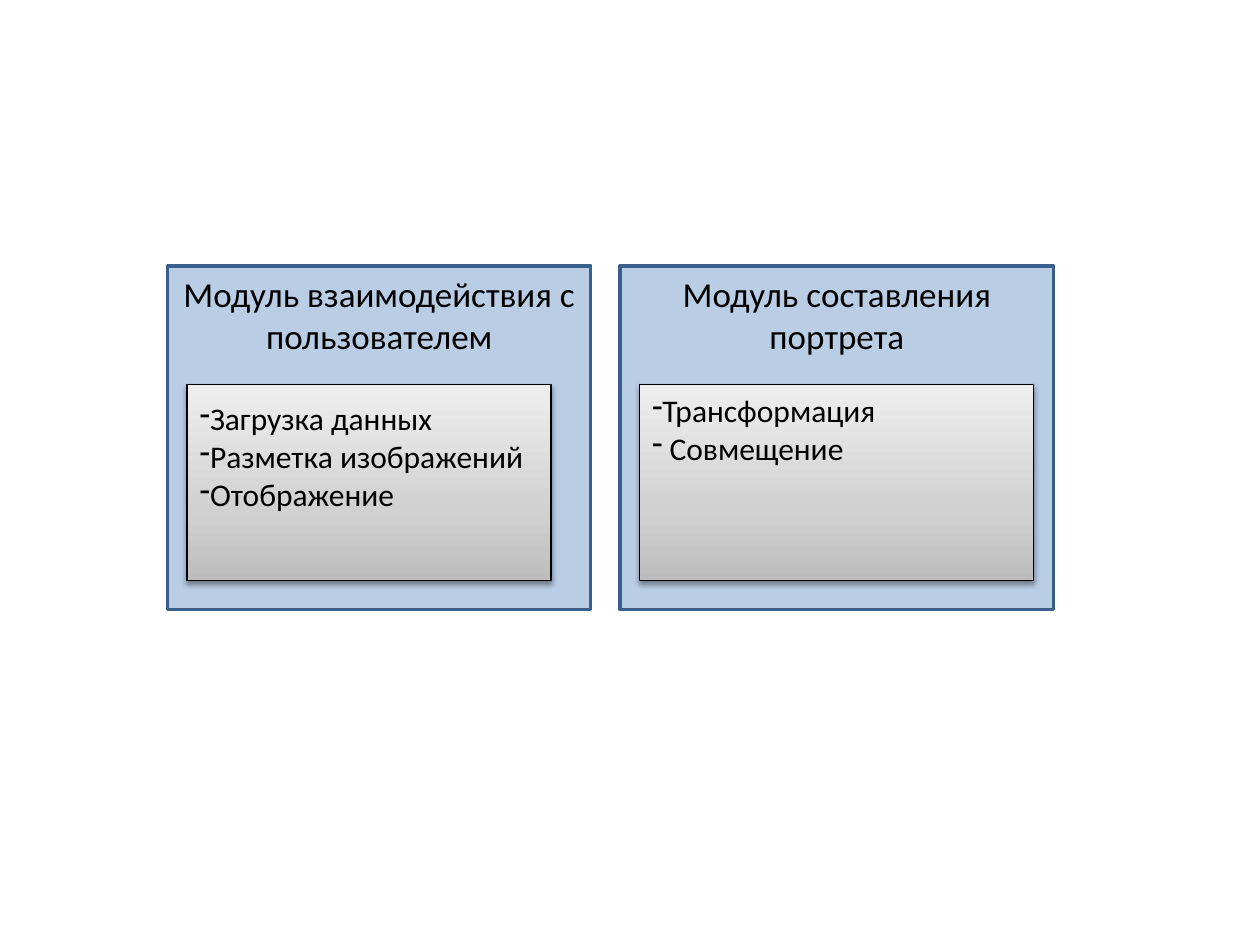
import pptx
import pptx.dml.color
import pptx.enum.shapes
import pptx.enum.text
import pptx.oxml
import pptx.oxml.ns
import pptx.util
from lxml import etree

Cm = pptx.util.Cm
Pt = pptx.util.Pt
qn = pptx.oxml.ns.qn
ALIGN = pptx.enum.text.PP_ALIGN

COLORS = {
    "panel": "B9CDE5",
    "panel_line": "3A5F8C",
    "dark": "BDBDBD",
    "middle": "D1D1D1",
    "light": "EEEEEE",
    "black": "000000",
}


def color(name):
    return pptx.dml.color.RGBColor.from_string(COLORS[name])


def write_text(paragraph, text, size=18, align=ALIGN.LEFT, bullet=None):
    paragraph.alignment = align
    paragraph.space_before = Pt(0)
    run = paragraph.add_run()
    run.text = text
    run.font.name = "Calibri"
    run.font.size = Pt(size)
    run.font.bold = False
    run.font.color.rgb = color("black")
    properties = paragraph._p.get_or_add_pPr()
    properties.set("marL", "0")
    properties.set("indent", "0")
    if bullet:
        etree.SubElement(properties, qn("a:buFontTx"))
        etree.SubElement(properties, qn("a:buChar")).set("char", bullet)
    else:
        etree.SubElement(properties, qn("a:buNone"))


class ModuleSlide:
    def __init__(self, presentation):
        self.slide = presentation.slides.add_slide(presentation.slide_layouts[4])
        # The comparison layout gives two headings and two lists; no slide title
        title = self.slide.shapes.title.element
        title.getparent().remove(title)

    def rectangle(self, left, top, width, height, line, line_width):
        shape = self.slide.shapes.add_shape(
            pptx.enum.shapes.MSO_SHAPE.RECTANGLE,
            Cm(left), Cm(top), Cm(width), Cm(height))
        shape.shadow.inherit = False
        shape.line.color.rgb = color(line)
        shape.line.width = Pt(line_width)
        return shape

    def panel(self, *box):
        shape = self.rectangle(*box, "panel_line", 2)
        shape.fill.solid()
        shape.fill.fore_color.rgb = color("panel")

    def card(self, *box):
        shape = self.rectangle(*box, "black", 0.75)
        shape.fill.gradient()
        shape.fill.gradient_angle = 90
        # Three gradient stops, from the bottom up
        stops = shape.element.spPr.find(".//" + qn("a:gsLst"))
        for stop in list(stops):
            stops.remove(stop)
        for position, name in ((0, "dark"), (35, "middle"), (100, "light")):
            stop = etree.SubElement(stops, qn("a:gs"), pos=str(position * 1000))
            etree.SubElement(stop, qn("a:srgbClr"), val=COLORS[name])
        # Soft shadow below the card
        effects = shape.element.spPr.find(qn("a:effectLst"))
        shadow = etree.SubElement(
            effects, qn("a:outerShdw"), blurRad=str(Pt(3.1)), dist=str(Pt(1.6)),
            dir="5400000", rotWithShape="0")
        shade = etree.SubElement(shadow, qn("a:srgbClr"), val=COLORS["black"])
        etree.SubElement(shade, qn("a:alpha"), val="38000")

    def text(self, index, left, top, width, height, lines, **style):
        shape = self.slide.placeholders[index]
        shape.left, shape.top = Cm(left), Cm(top)
        shape.width, shape.height = Cm(width), Cm(height)
        # Bring the text in front of the boxes
        shape.element.getparent().append(shape.element)
        frame = shape.text_frame
        frame.word_wrap = True
        frame.vertical_anchor = pptx.enum.text.MSO_ANCHOR.TOP
        frame.auto_size = pptx.enum.text.MSO_AUTO_SIZE.SHAPE_TO_FIT_TEXT
        for number, line in enumerate(lines):
            paragraph = frame.add_paragraph() if number else frame.paragraphs[0]
            write_text(paragraph, line, **style)


def main():
    presentation = pptx.Presentation()
    presentation.slide_width = Cm(25.4)
    presentation.slide_height = Cm(19.05)
    page = ModuleSlide(presentation)

    panel_top, card_top, inset = 5.36, 7.75, 0.39
    # Left, panel width, card width, heading, list top, width, height, list items
    modules = [
        (3.38, 8.53, 7.34, "Модуль взаимодействия с пользователем",
         7.92, 7.34, 2.57,
         ["Загрузка данных", "Разметка изображений", "Отображение"]),
        (12.5, 8.74, 7.95, "Модуль составления портрета",
         card_top, 6.55, 1.8, ["Трансформация", " Совмещение"]),
    ]
    for number, module in enumerate(modules):
        (left, width, card_width, heading,
         list_top, list_width, list_height, items) = module
        # Panel with its heading
        page.panel(left, panel_top, width, 6.93)
        page.text(2 * number + 1, left, panel_top, width, 1.96, [heading],
                  size=20, align=ALIGN.CENTER)
        # Card with its list
        page.card(left + inset, card_top, card_width, 3.96)
        page.text(2 * number + 2, left + inset, list_top, list_width, list_height,
                  items, bullet="-")

    presentation.save("out.pptx")


if __name__ == "__main__":
    main()
